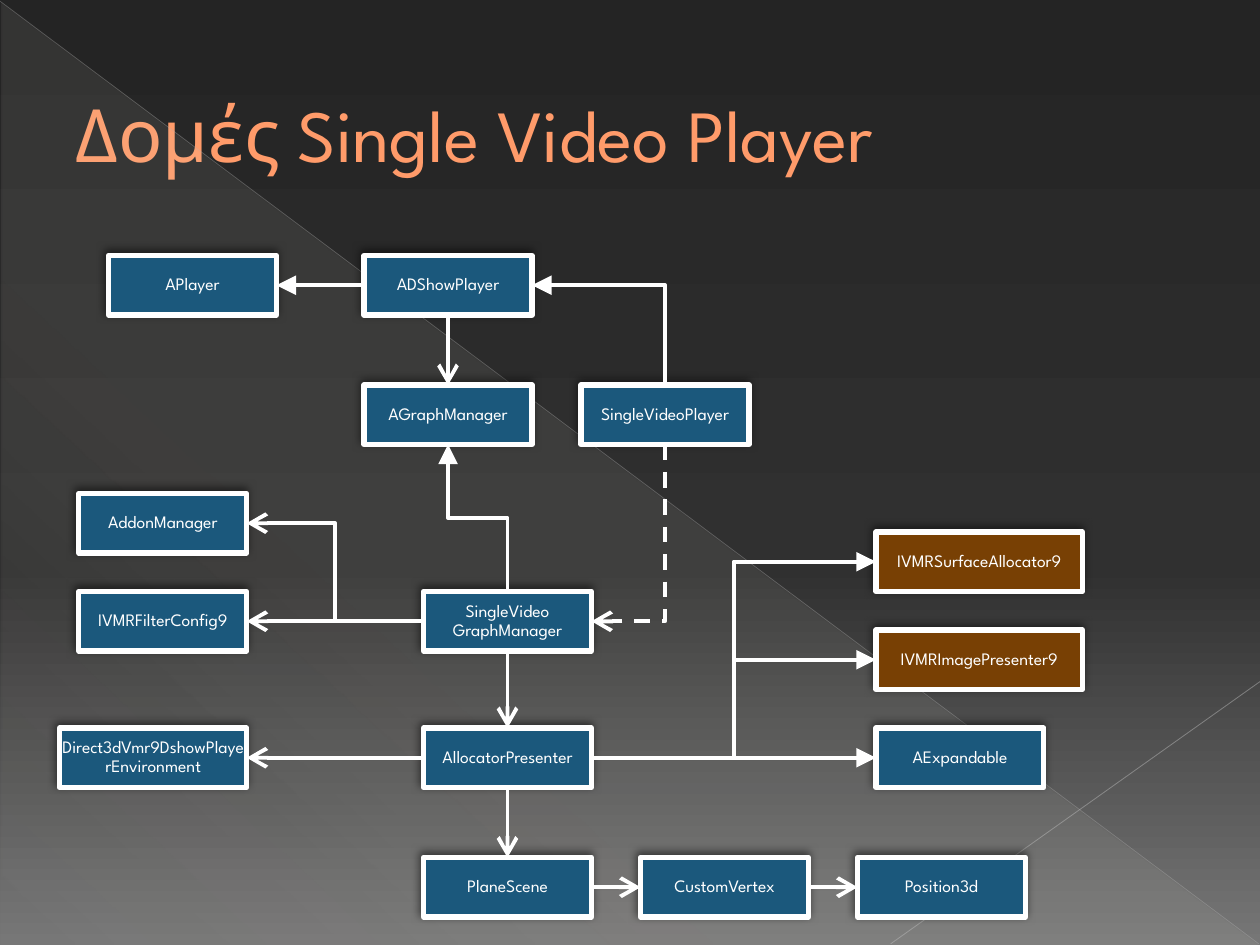
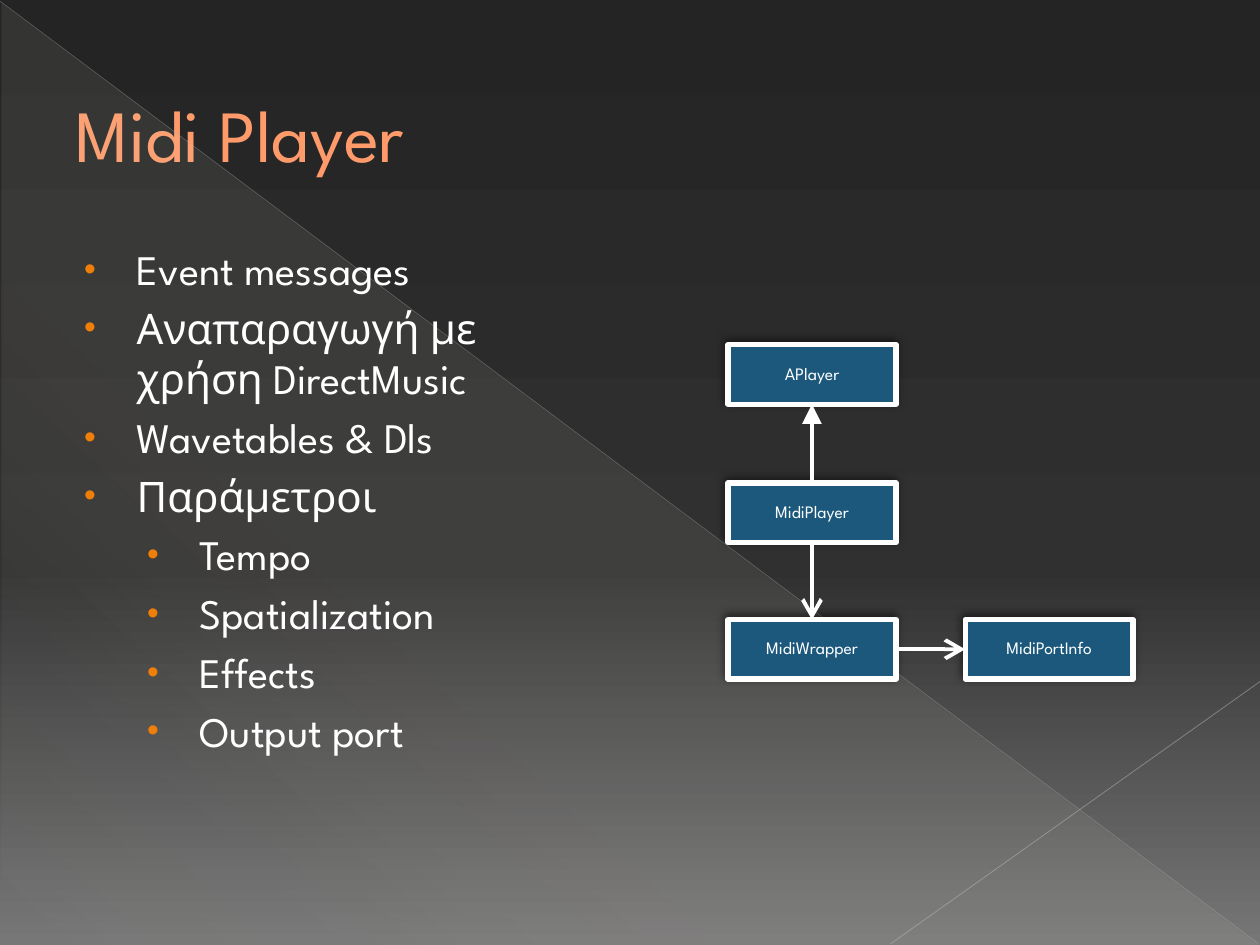
from lxml import etree
from pptx import Presentation
from pptx.dml.color import RGBColor
from pptx.enum import dml, shapes, text
from pptx.oxml import ns
from pptx.util import Pt

WHITE = RGBColor(0xFF, 0xFF, 0xFF)
ORANGE = RGBColor(0xFF, 0x9B, 0x6A)
BROWN = RGBColor(0x78, 0x40, 0x04)
BLUE = RGBColor(0x1B, 0x58, 0x7C)
RUST = RGBColor(0xA6, 0x58, 0x06)
AMBER = RGBColor(0xF0, 0x7F, 0x09)
BLACK = RGBColor(0x00, 0x00, 0x00)
SAND = RGBColor(0xE3, 0xDE, 0xD1)
SILVER = RGBColor(0xB6, 0xB6, 0xB6)
PALE = RGBColor(0xBF, 0xBF, 0xBF)
NIGHT = RGBColor(0x24, 0x24, 0x24)
COAL = RGBColor(0x30, 0x30, 0x30)
ASH = RGBColor(0x76, 0x76, 0x76)

FONT = "League Spartan"
TOP, LEFT, BOTTOM, RIGHT = range(4)


def add(node, tag, **attrs):
    kid = etree.SubElement(node, ns.qn("a:" + tag))
    for key, val in attrs.items():
        kid.set(key, str(val))
    return kid


def tint(node, color, alpha=100):
    clr = add(node, "srgbClr", val=color)
    if alpha < 100:
        add(clr, "alpha", val=alpha * 1000)


def blend(owner, fill, angle, stops):
    fill.gradient()
    fill.gradient_angle = 360 - angle
    rows = owner.element.find(".//" + ns.qn("a:gsLst"))
    rows.clear()
    for pos, color, alpha in stops:
        tint(add(rows, "gs", pos=pos * 1000), color, alpha)


class Deck:
    def __init__(self):
        self.prs = Presentation()
        self.prs.slide_width = Pt(720)
        self.prs.slide_height = Pt(540)
        base = self.prs.slide_master
        blend(base, base.background.fill, 90,
              [(0, NIGHT, 100), (60, COAL, 100), (100, ASH, 100)])

    def style(self, para, size, color):
        for run in para.runs:
            run.font.name = FONT
            run.font.size = Pt(size)
            run.font.color.rgb = color

    def page(self, title):
        self.slide = self.prs.slides.add_slide(self.prs.slide_layouts[5])
        self.decor()
        head = self.slide.shapes.title
        head.left, head.top, head.width, head.height = map(Pt, (36, 21, 648, 110))
        frame = head.text_frame
        frame.text = title
        frame.auto_size = text.MSO_AUTO_SIZE.NONE
        frame.vertical_anchor = text.MSO_ANCHOR.MIDDLE
        para = frame.paragraphs[0]
        para.alignment = text.PP_ALIGN.LEFT
        self.style(para, 42, ORANGE)
        para.runs[0].font.name = FONT
        edge = etree.Element(ns.qn("a:ln"), w=str(Pt(0.5)))
        tint(add(edge, "solidFill"), RUST)
        para.runs[0].font.fill
        para.runs[0]._r.rPr.insert(0, edge)

    def decor(self):
        wedge = self.slide.shapes.add_shape(
            shapes.MSO_SHAPE.RIGHT_TRIANGLE, Pt(1), Pt(1.5), Pt(718.5), Pt(538.5))
        wedge.shadow.inherit = False
        wedge.line.fill.background()
        blend(wedge, wedge.fill, 133, [(0, SAND, 10), (70, SAND, 8), (100, SAND, 1)])
        self.rule((0, 0.7, 719.3, 539.3), SILVER, 0.39, 35)
        self.rule((720, 389.5, 509, 539.3), PALE, 0.47, 45)

    def wire(self, kind, ends, color, width):
        line = self.slide.shapes.add_connector(kind, *map(Pt, ends))
        line.line.color.rgb = color
        line.line.width = Pt(width)
        add(line.element.spPr, "effectLst")
        return line

    def rule(self, ends, color, width, alpha):
        line = self.wire(shapes.MSO_CONNECTOR.STRAIGHT, ends, color, width)
        clr = line.element.spPr.find(".//" + ns.qn("a:srgbClr"))
        add(clr, "alpha", val=alpha * 1000)

    def box(self, label, x, y, width=96, color=BLUE):
        box = self.slide.shapes.add_shape(
            shapes.MSO_SHAPE.RECTANGLE, Pt(x), Pt(y), Pt(width), Pt(34))
        box.fill.solid()
        box.fill.fore_color.rgb = color
        box.line.color.rgb = WHITE
        box.line.width = Pt(3)
        box.shadow.inherit = False
        glow = box.element.spPr.find(ns.qn("a:effectLst"))
        tint(add(glow, "outerShdw", blurRad=Pt(5), dist=Pt(2),
                 dir=245 * 60000, algn="tl", rotWithShape=0), BLACK, 50)
        frame = box.text_frame
        frame.text = label
        frame.word_wrap = True
        frame.vertical_anchor = text.MSO_ANCHOR.MIDDLE
        frame.margin_left = frame.margin_right = Pt(1.25)
        frame.margin_top = frame.margin_bottom = Pt(0.75)
        para = frame.paragraphs[0]
        para.alignment = text.PP_ALIGN.CENTER
        para.line_spacing = 0.9
        para.space_after = Pt(3.5)
        self.style(para, 10, WHITE)
        return box

    def link(self, start, out, end, into, tip="arrow", dash=False):
        line = self.wire(shapes.MSO_CONNECTOR.ELBOW, (0, 0, 0, 0), WHITE, 2.25)
        line.begin_connect(start, out)
        line.end_connect(end, into)
        shape = "bentConnector3"
        if 0 in (line.width, line.height):
            shape = "straightConnector1"
        elif out in (TOP, BOTTOM):
            self.turn(line)
            if into in (LEFT, RIGHT):
                shape = "bentConnector2"
        line.element.spPr.find(ns.qn("a:prstGeom")).set("prst", shape)
        if dash:
            line.line.dash_style = dml.MSO_LINE.DASH
        add(line.line._ln, "tailEnd", type=tip, w="lg", len="lg")

    def turn(self, line):
        wide = line.end_x - line.begin_x
        tall = line.end_y - line.begin_y
        mid_x = (line.begin_x + line.end_x) // 2
        mid_y = (line.begin_y + line.end_y) // 2
        line.width, line.height = abs(tall), abs(wide)
        line.left = mid_x - abs(tall) // 2
        line.top = mid_y - abs(wide) // 2
        frame = line.element.spPr.find(ns.qn("a:xfrm"))
        frame.set("rot", str((90 if tall > 0 else 270) * 60000))
        frame.set("flipH", "0")
        frame.set("flipV", "1" if wide * tall > 0 else "0")

    def bullets(self, rows, x, y, width, height):
        frame = self.slide.shapes.add_textbox(*map(Pt, (x, y, width, height))).text_frame
        frame.word_wrap = True
        frame.text = "\n".join(row for level, row in rows)
        for para, (level, row) in zip(frame.paragraphs, rows):
            para.level = level
            para.space_before = Pt(4.8)
            self.style(para, 24, WHITE)
            props = para._p.get_or_add_pPr()
            props.set("marL", str(Pt(35 + 36 * level)))
            props.set("indent", str(Pt(-30)))
            tint(add(props, "buClr"), AMBER)
            add(props, "buSzPct", val=80000)
            add(props, "buFont", typeface="Arial")
            add(props, "buChar", char="•")


deck = Deck()

deck.page("Δομές Single Video Player")
base = deck.box("APlayer", 62, 146)
show = deck.box("ADShowPlayer", 208, 146)
graph = deck.box("AGraphManager", 208, 220)
single = deck.box("SingleVideoPlayer", 332, 220)
addon = deck.box("AddonManager", 45, 282)
config = deck.box("IVMRFilterConfig9", 45, 338)
video = deck.box("SingleVideo GraphManager", 242, 338)
direct = deck.box("Direct3dVmr9DshowPlayerEnvironment", 34, 416, 107)
alloc = deck.box("AllocatorPresenter", 242, 416)
plane = deck.box("PlaneScene", 242, 490)
vertex = deck.box("CustomVertex", 366, 490)
place = deck.box("Position3d", 490, 490)
surface = deck.box("IVMRSurfaceAllocator9", 500.5, 304, 118, BROWN)
image = deck.box("IVMRImagePresenter9", 500.5, 360, 118, BROWN)
expand = deck.box("AExpandable", 500.5, 416)

deck.link(plane, RIGHT, vertex, LEFT)
deck.link(vertex, RIGHT, place, LEFT)
deck.link(alloc, BOTTOM, plane, TOP)
for goal in (surface, image, expand):
    deck.link(alloc, RIGHT, goal, LEFT, "triangle")
deck.link(alloc, LEFT, direct, RIGHT)
deck.link(video, BOTTOM, alloc, TOP)
for goal in (addon, config):
    deck.link(video, LEFT, goal, RIGHT)
deck.link(show, LEFT, base, RIGHT, "triangle")
deck.link(single, TOP, show, RIGHT, "triangle")
deck.link(show, BOTTOM, graph, TOP)
deck.link(video, TOP, graph, BOTTOM, "triangle")
deck.link(single, BOTTOM, video, RIGHT, dash=True)

deck.page("Midi Player")
deck.bullets([
    (0, "Event messages"),
    (0, "Αναπαραγωγή με χρήση DirectMusic"),
    (0, "Wavetables & Dls"),
    (0, "Παράμετροι"),
    (1, "Tempo"),
    (1, "Spatialization"),
    (1, "Effects"),
    (1, "Output port"),
], 36, 135.5, 290, 381.5)
base = deck.box("APlayer", 416, 197)
midi = deck.box("MidiPlayer", 416, 276)
wrap = deck.box("MidiWrapper", 416, 354)
port = deck.box("MidiPortInfo", 551.5, 354)
deck.link(midi, TOP, base, BOTTOM, "triangle")
deck.link(midi, BOTTOM, wrap, TOP)
deck.link(wrap, RIGHT, port, LEFT)

deck.prs.save("out.pptx")
